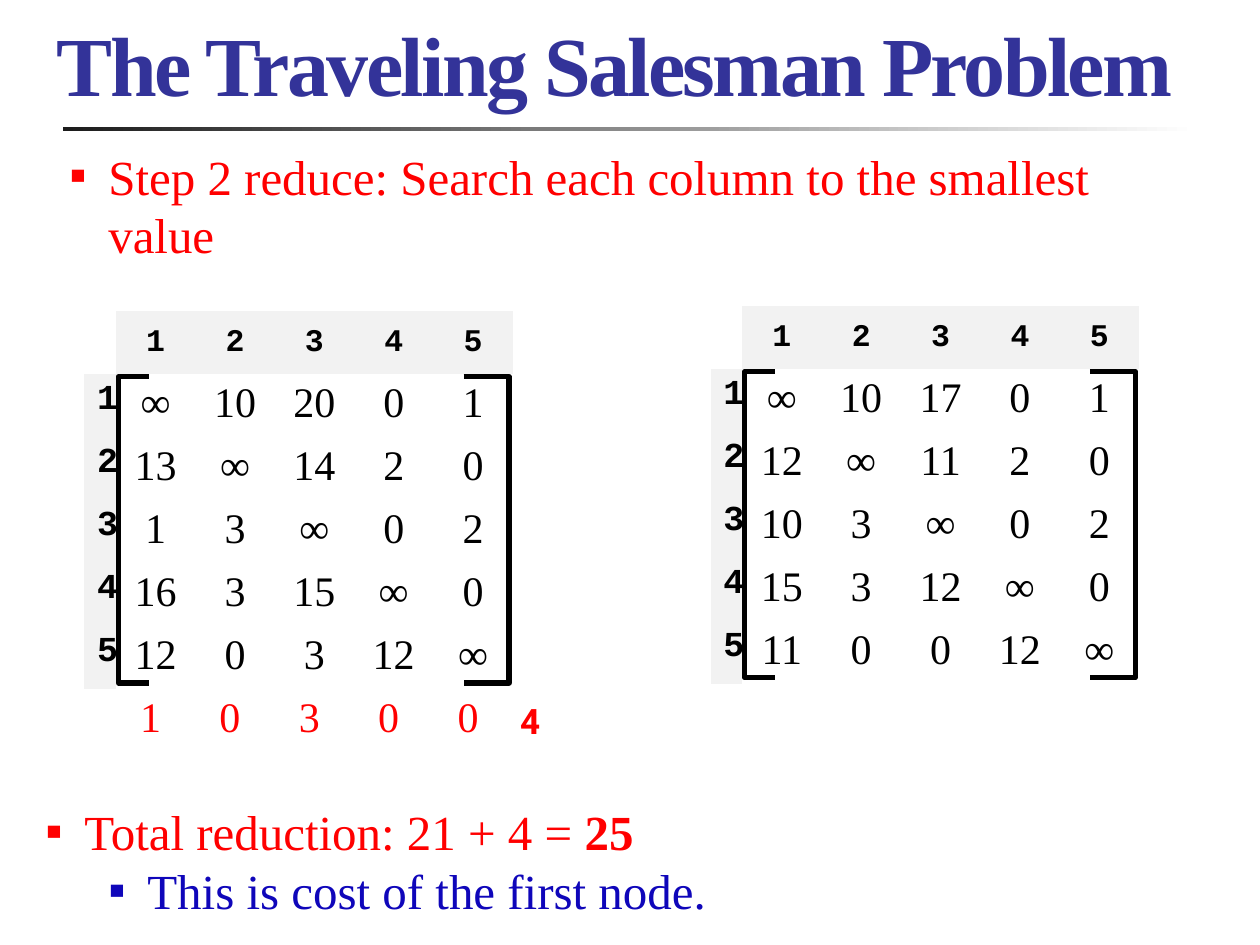
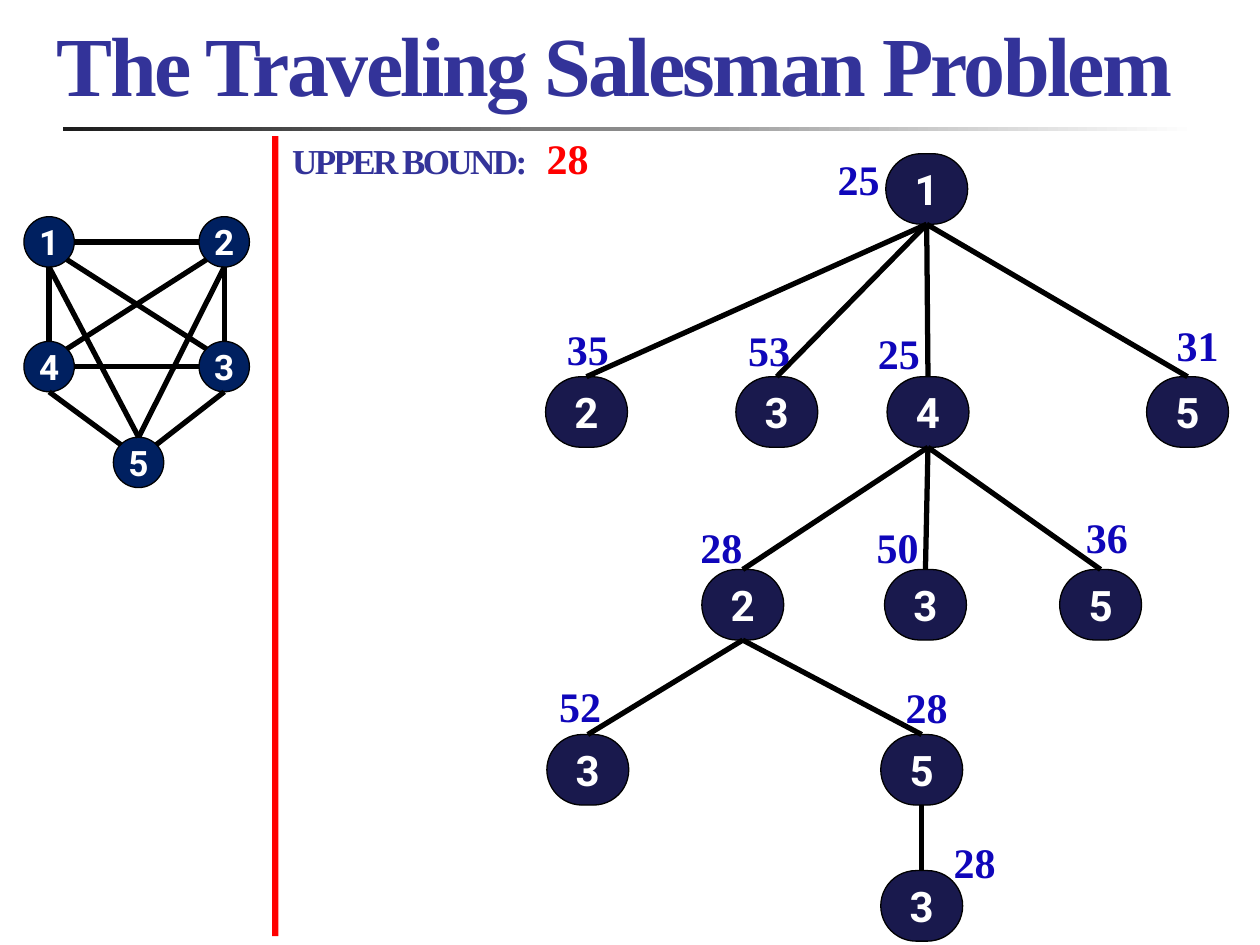
from lxml import etree
from pptx import Presentation
from pptx.dml.color import RGBColor
from pptx.enum.shapes import MSO_CONNECTOR, MSO_SHAPE
from pptx.enum.text import MSO_ANCHOR, MSO_AUTO_SIZE, PP_ALIGN
from pptx.oxml.ns import qn
from pptx.util import Inches, Pt

LEFT, CENTER = PP_ALIGN.LEFT, PP_ALIGN.CENTER
TOP, MIDDLE, BOTTOM = MSO_ANCHOR.TOP, MSO_ANCHOR.MIDDLE, MSO_ANCHOR.BOTTOM
RECTANGLE, OVAL, ROUNDED = MSO_SHAPE.RECTANGLE, MSO_SHAPE.OVAL, MSO_SHAPE.ROUNDED_RECTANGLE
LEFT_BRACKET, RIGHT_BRACKET = MSO_SHAPE.LEFT_BRACKET, MSO_SHAPE.RIGHT_BRACKET
STRAIGHT = MSO_CONNECTOR.STRAIGHT

COLORS = {
    "title": "333399", "red": "FF0000", "blue": "0F06BA", "black": "000000", "white": "FFFFFF",
    "rule": "1C1C1C", "header": "F2F2F2", "city": "002060", "node": "19194D",
}
SERIF, MONO, SANS = "Times New Roman", "Courier New", "Roboto"
NO_STYLE_TABLE = "{2D5ABB26-0587-4C30-8999-92F81FD0307C}"
TITLE = "The Traveling Salesman Problem"

# Reduction slide: each list is a box and paragraphs of (level, color, runs of (text, bold))
STEP_LIST = ((0.45, 1.11, 9.17, 1.04), [
    (0, "red", [("Step 2 reduce: Search each column to the smallest value", False)]),
])
TOTAL_LIST = ((0.26, 6.31, 9.17, 1.04), [
    (0, "red", [("Total reduction: 21 + 4 = ", False), ("25", True)]),
    (1, "blue", [("This is cost of the first node.", False)]),
])
BULLET_INDENTS = [0.31, 0.81]
MATRICES = [
    ((0.67, 2.47), ["∞ 10 20 0 1", "13 ∞ 14 2 0", "1 3 ∞ 0 2", "16 3 15 ∞ 0", "12 0 3 12 ∞"]),
    ((5.64, 2.43), ["∞ 10 17 0 1", "12 ∞ 11 2 0", "10 3 ∞ 0 2", "15 3 12 ∞ 0", "11 0 0 12 ∞"]),
]
COLUMN_MINIMA, MINIMA_AT, MINIMA_SUM = "1 0 3 0 0", (0.88, 5.47), "4"
HEAD_WIDTH, COLUMN_WIDTH, ROW_HEIGHT = 0.25, 0.63, 0.5

# Search slide: city centers, and edges as (city, side, city, side)
CITIES = {"1": (0.39, 1.92), "2": (1.78, 1.92), "4": (0.39, 2.91), "3": (1.78, 2.91), "5": (1.1, 3.67)}
ROADS = [
    ("1", "S", "4", "N"), ("1", "E", "2", "W"), ("2", "S", "3", "N"), ("3", "S", "5", "NE"),
    ("4", "S", "5", "NW"), ("1", "SE", "3", "NW"), ("4", "E", "3", "W"), ("4", "NE", "2", "SW"),
    ("2", "S", "5", "N"), ("1", "S", "5", "N"),
]
CITY_RADIUS = 0.2
SIDES = {
    "N": (0, -1), "E": (1, 0), "S": (0, 1), "W": (-1, 0),
    "NE": (0.7, -0.7), "SE": (0.7, 0.7), "SW": (-0.7, 0.7), "NW": (-0.7, -0.7),
}
# Search tree: tour so far -> (node left, cost, cost position); the parent is the tour less its last city
TREE = {
    "1": (7.03, "25", (6.55, 1.17)),
    "12": (4.33, "35", (4.4, 2.52)),
    "13": (5.84, "53", (5.84, 2.53)),
    "14": (7.04, "25", (6.87, 2.55)),
    "15": (9.1, "31", (9.24, 2.49)),
    "142": (5.57, "28", (5.46, 4.09)),
    "143": (7.02, "50", (6.86, 4.09)),
    "145": (8.41, "36", (8.52, 4.01)),
    "1423": (4.34, "52", (4.34, 5.35)),
    "1425": (6.99, "28", (7.09, 5.36)),
    "14253": (6.99, "28", (7.47, 6.59)),
}
LEVEL_TOPS = [1.22, 2.99, 4.52, 5.83, 6.91]
NODE_SIZE = (0.65, 0.56)


def rgb(name):
    return RGBColor.from_string(COLORS[name])


def inches(values):
    return [Inches(value) for value in values]


def add_run(paragraph, text, size=24, color="black", font=SERIF, bold=False, align=LEFT, spacing=0):
    paragraph.alignment = align
    run = paragraph.add_run()
    run.text = text
    run.font.size, run.font.name, run.font.bold = Pt(size), font, bold
    run.font.color.rgb = rgb(color)
    if spacing:
        run.font._element.set("spc", str(round(spacing * 100)))


def add_label(slide, text, box, anchor=TOP, **text_format):
    frame = slide.shapes.add_textbox(*inches(box)).text_frame
    frame.word_wrap = False
    frame.vertical_anchor = anchor
    add_run(frame.paragraphs[0], text, bold=True, **text_format)


def add_shape(shapes, kind, box, fill=None, line=None, line_width=0.75, adjust=None):
    shape = shapes.add_shape(kind, *inches(box))
    shape.shadow.inherit = False
    if fill:
        shape.fill.solid()
        shape.fill.fore_color.rgb = rgb(fill)
    else:
        shape.fill.background()
    if line:
        shape.line.color.rgb = rgb(line)
        shape.line.width = Pt(line_width)
    else:
        shape.line.fill.background()
    if adjust is not None:
        shape.adjustments[0] = adjust
    return shape


def add_node(shapes, kind, text, box, size, fill, **shape_format):
    node = add_shape(shapes, kind, box, fill=fill, line="black", **shape_format)
    frame = node.text_frame
    frame.margin_left = frame.margin_top = frame.margin_right = frame.margin_bottom = 0
    frame.word_wrap = False
    frame.vertical_anchor = MIDDLE
    add_run(frame.paragraphs[0], text, size=size, color="white", font=SANS, bold=True, align=CENTER)
    return node


def add_line(shapes, start=(0, 0), end=(0, 0)):
    line = shapes.add_connector(STRAIGHT, *inches((*start, *end)))
    line.line.color.rgb = rgb("black")
    line.line.width = Pt(3)
    etree.SubElement(line._element.spPr, qn("a:effectLst"))
    return line


def add_slide(presentation, layout_index):
    """Add a slide with the shared title and the fading rule below it."""
    slide = presentation.slides.add_slide(presentation.slide_layouts[layout_index])
    rule = add_shape(slide.shapes, RECTANGLE, (0.5, 1.01, 9, 0.03))
    rule.fill.gradient()
    rule.fill.gradient_angle = 0
    for stop, color in zip(rule.fill.gradient_stops, ("rule", "white")):
        stop.color.rgb = rgb(color)
    title = slide.shapes.title
    place(title, (0.35, 0.07, 9.29, 0.88))
    title.text_frame.vertical_anchor = BOTTOM
    add_run(title.text_frame.paragraphs[0], TITLE, size=48, color="title", bold=True, spacing=-1.5)
    return slide


def place(placeholder, box):
    placeholder.left, placeholder.top, placeholder.width, placeholder.height = inches(box)
    placeholder.text_frame.auto_size = MSO_AUTO_SIZE.NONE


def fill_list(placeholder, box, items):
    place(placeholder, box)
    frame = placeholder.text_frame
    for index, (level, color, runs) in enumerate(items):
        paragraph = frame.add_paragraph() if index else frame.paragraphs[0]
        paragraph.level = level
        paragraph.space_before = Pt(0)
        properties = paragraph._p.get_or_add_pPr()
        properties.set("marL", str(Inches(BULLET_INDENTS[level])))
        properties.set("indent", str(-Inches(BULLET_INDENTS[0])))
        etree.SubElement(properties, qn("a:buFont"), typeface=SERIF)
        etree.SubElement(properties, qn("a:buChar"), char="▪")
        for text, bold in runs:
            add_run(paragraph, text, size=28, color=color, bold=bold)


def add_plain_table(slide, at, row_count, widths):
    size = (sum(widths), row_count * ROW_HEIGHT)
    table = slide.shapes.add_table(row_count, len(widths), *inches((*at, *size))).table
    table.first_row = table.horz_banding = False
    table._tbl.tblPr.find(qn("a:tableStyleId")).text = NO_STYLE_TABLE
    for column, width in zip(table.columns, widths):
        column.width = Inches(width)
    for cell in table.iter_cells():
        cell.fill.background()
    return table


def set_cell(cell, text, fill=None, anchor=TOP, **text_format):
    if fill:
        cell.fill.solid()
        cell.fill.fore_color.rgb = rgb(fill)
    cell.vertical_anchor = anchor
    add_run(cell.text_frame.paragraphs[0], text, align=CENTER, **text_format)


def add_matrix(slide, at, rows):
    """Add a cost matrix with numbered rows and columns between square brackets."""
    left, top = at
    for kind, offset, width in ((RIGHT_BRACKET, 3.01, 0.36), (LEFT_BRACKET, 0.27, 0.24)):
        add_shape(slide.shapes, kind, (left + offset, top + 0.52, width, 2.43),
                  line="black", line_width=3, adjust=0)
    count = len(rows)
    table = add_plain_table(slide, at, count + 1, [HEAD_WIDTH] + [COLUMN_WIDTH] * count)
    heading = {"fill": "header", "font": MONO, "bold": True}
    for number, row in enumerate(rows, 1):
        set_cell(table.cell(0, number), str(number), anchor=MIDDLE, size=18, **heading)
        set_cell(table.cell(number, 0), str(number), size=20, **heading)
        for column, cost in enumerate(row.split(), 1):
            set_cell(table.cell(number, column), cost)


def build_reduction_slide(presentation):
    slide = add_slide(presentation, 3)
    for index, content in enumerate((STEP_LIST, TOTAL_LIST), 1):
        fill_list(slide.placeholders[index], *content)
    for at, rows in MATRICES:
        add_matrix(slide, at, rows)
    minima = COLUMN_MINIMA.split()
    table = add_plain_table(slide, MINIMA_AT, 1, [COLUMN_WIDTH] * len(minima))
    for cell, minimum in zip(table.iter_cells(), minima):
        set_cell(cell, minimum, color="red")
    add_label(slide, MINIMA_SUM, (4.03, 5.5, 0.72, 0.44), size=20, color="red", font=SANS)


def add_city_graph(slide):
    shapes = slide.shapes.add_group_shape().shapes
    for city, (x, y) in CITIES.items():
        box = (x - CITY_RADIUS, y - CITY_RADIUS, 2 * CITY_RADIUS, 2 * CITY_RADIUS)
        add_node(shapes, OVAL, city, box, 20, "city")

    def rim_point(city, side):
        return [center + CITY_RADIUS * step for center, step in zip(CITIES[city], SIDES[side])]

    for start, start_side, end, end_side in ROADS:
        add_line(shapes, rim_point(start, start_side), rim_point(end, end_side))


def add_search_tree(slide):
    nodes = {}
    for tour, (left, cost, cost_at) in TREE.items():
        box = (left, LEVEL_TOPS[len(tour) - 1], *NODE_SIZE)
        nodes[tour] = add_node(slide.shapes, ROUNDED, tour[-1], box, 24, "node", adjust=0.5)
        parent = nodes.get(tour[:-1])
        if parent:
            edge = add_line(slide.shapes)
            edge.begin_connect(parent, 2)
            edge.end_connect(nodes[tour], 0)
        add_label(slide, cost, (*cost_at, 0.56, 0.5), color="blue")


def build_search_slide(presentation):
    slide = add_slide(presentation, 5)
    add_shape(slide.shapes, RECTANGLE, (2.16, 1.08, 0.05, 6.35), fill="red")
    add_label(slide, "UPPER BOUND:", (2.22, 1.07, 2.17, 0.42), anchor=BOTTOM,
              size=20, color="title", spacing=-1.5)
    add_label(slide, "28", (4.24, 1, 0.67, 0.5), color="red")
    add_city_graph(slide)
    add_search_tree(slide)


def main():
    presentation = Presentation()
    presentation.slide_width, presentation.slide_height = Inches(10), Inches(7.5)
    build_reduction_slide(presentation)
    build_search_slide(presentation)
    presentation.save("out.pptx")


if __name__ == "__main__":
    main()
